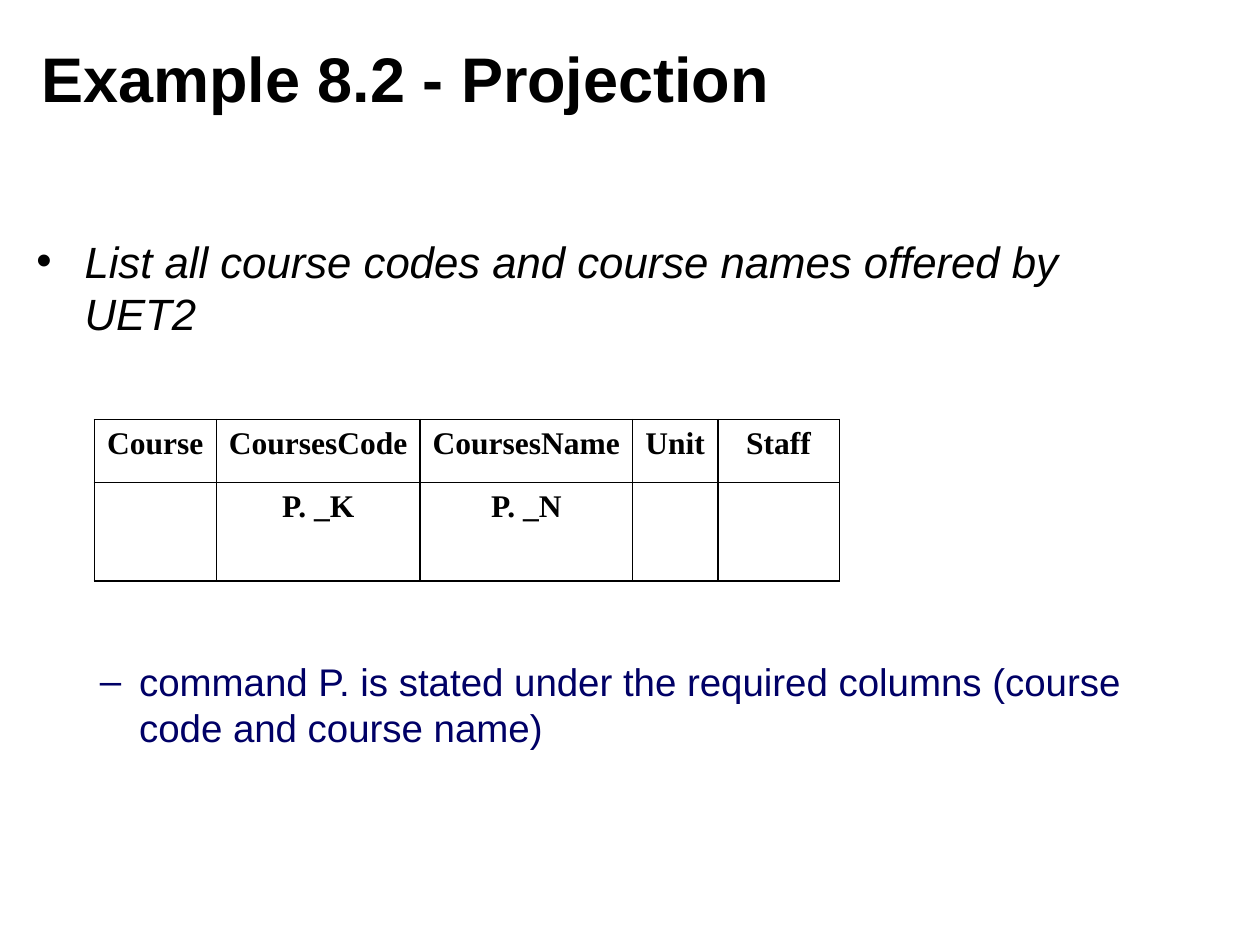
"""Build the projection example slide with its query table."""
from dataclasses import dataclass

from lxml.etree import SubElement
from pptx import Presentation
from pptx.dml.color import RGBColor
from pptx.enum.text import MSO_ANCHOR, MSO_AUTO_SIZE, PP_ALIGN
from pptx.oxml.ns import qn
from pptx.util import Cm, Pt

BLACK = "000000"
TITLE_FORMAT = {"name": "Arial", "size": Pt(36), "bold": True}
CELL_FORMAT = {"name": "Times New Roman", "size": Pt(18), "bold": True}
CELL_MARGINS = {"margin_left": Cm(0.23), "margin_right": Cm(0.23)}
COLUMN_WIDTHS = [2.46, 4.11, 4.28, 1.72, 2.45]
ROW_HEIGHTS = [1.27, 1.98]
QUERY_ROWS = [
    ["Course", "CoursesCode", "CoursesName", "Unit", "Staff"],
    ["", "P. _K", "P. _N", "", ""],
]


@dataclass
class Bullet:
    """One list item with its marker and layout."""
    text: str
    marker: str
    level: int
    left: float
    hanging: float
    space_before: float
    color: str
    font_format: dict


BULLETS = [
    Bullet("List all course codes and course names offered by UET2", "•", 0, 0.97, 0.97, 0,
           BLACK, {"name": "Arial", "size": Pt(25), "italic": True}),
    Bullet("command P. is stated under the required columns (course code and course name)",
           "–", 1, 2.07, 0.79, 182, "000066",
           {"name": "Arial", "size": Pt(22), "italic": False}),
]


def rgb(color: str) -> RGBColor:
    """Turn a hex string into a colour."""
    return RGBColor.from_string(color)


def set_attributes(target, values: dict) -> None:
    """Set every attribute named in the dict."""
    for name, value in values.items():
        setattr(target, name, value)


def write_run(paragraph, text: str, font_format: dict, color: str = BLACK) -> None:
    """Add one formatted run to a paragraph."""
    run = paragraph.add_run()
    run.text = text
    set_attributes(run.font, font_format)
    run.font.color.rgb = rgb(color)


def place(shape, left: float, top: float, width: float, height: float) -> None:
    """Move and size a shape in centimetres."""
    set_attributes(shape, {"left": Cm(left), "top": Cm(top),
                           "width": Cm(width), "height": Cm(height)})


def draw_title(shape, text: str) -> None:
    """Fill the title placeholder."""
    place(shape, 0.58, 0.38, 20.4, 2.36)
    set_attributes(shape.text_frame, {"vertical_anchor": MSO_ANCHOR.MIDDLE,
                                      "auto_size": MSO_AUTO_SIZE.NONE})
    paragraph = shape.text_frame.paragraphs[0]
    paragraph.alignment = PP_ALIGN.LEFT
    write_run(paragraph, text, TITLE_FORMAT)


def draw_bullet(paragraph, bullet: Bullet) -> None:
    """Write one list item with its marker."""
    properties = paragraph._p.get_or_add_pPr()
    properties.set("marL", str(Cm(bullet.left)))
    properties.set("indent", str(-Cm(bullet.hanging)))
    marker_color = SubElement(properties, qn("a:buClr"))
    SubElement(marker_color, qn("a:srgbClr"), val=bullet.color)
    SubElement(properties, qn("a:buFont"), typeface="Arial")
    SubElement(properties, qn("a:buChar"), char=bullet.marker)
    set_attributes(paragraph, {"level": bullet.level,
                               "space_before": Pt(bullet.space_before)})
    write_run(paragraph, bullet.text, bullet.font_format, bullet.color)


def draw_body(shape, bullets: list[Bullet]) -> None:
    """Fill the body placeholder with the list."""
    place(shape, 0.48, 4.6, 23.01, 12.24)
    frame = shape.text_frame
    frame.auto_size = MSO_AUTO_SIZE.NONE
    for index, bullet in enumerate(bullets):
        draw_bullet(frame.add_paragraph() if index else frame.paragraphs[0], bullet)


def draw_cell(cell, text: str) -> None:
    """Write one bordered cell without a fill."""
    properties = cell._tc.get_or_add_tcPr()
    for side in ("lnL", "lnR", "lnT", "lnB"):
        line = SubElement(properties, qn(f"a:{side}"), w=str(Pt(0.96)))
        fill = SubElement(line, qn("a:solidFill"))
        SubElement(fill, qn("a:srgbClr"), val=BLACK)
    cell.fill.background()
    set_attributes(cell, CELL_MARGINS)
    paragraph = cell.text_frame.paragraphs[0]
    paragraph.alignment = PP_ALIGN.CENTER
    if text:
        write_run(paragraph, text, CELL_FORMAT)


def draw_table(slide, rows: list[list[str]]) -> None:
    """Draw the query table."""
    table = slide.shapes.add_table(
        len(rows), len(COLUMN_WIDTHS), Cm(1.9), Cm(8.46),
        Cm(sum(COLUMN_WIDTHS)), Cm(sum(ROW_HEIGHTS))).table
    set_attributes(table, {"first_row": False, "horz_banding": False})
    for column, width in zip(table.columns, COLUMN_WIDTHS):
        column.width = Cm(width)
    for row, height, texts in zip(table.rows, ROW_HEIGHTS, rows):
        row.height = Cm(height)
        for cell, text in zip(row.cells, texts):
            draw_cell(cell, text)


def main() -> None:
    """Build and save the presentation."""
    presentation = Presentation()
    set_attributes(presentation, {"slide_width": Cm(25.4), "slide_height": Cm(19.05)})
    slide = presentation.slides.add_slide(presentation.slide_layouts[1])
    draw_title(slide.shapes.title, "Example 8.2 - Projection")
    draw_body(slide.placeholders[1], BULLETS)
    draw_table(slide, QUERY_ROWS)
    presentation.save("out.pptx")


if __name__ == "__main__":
    main()
